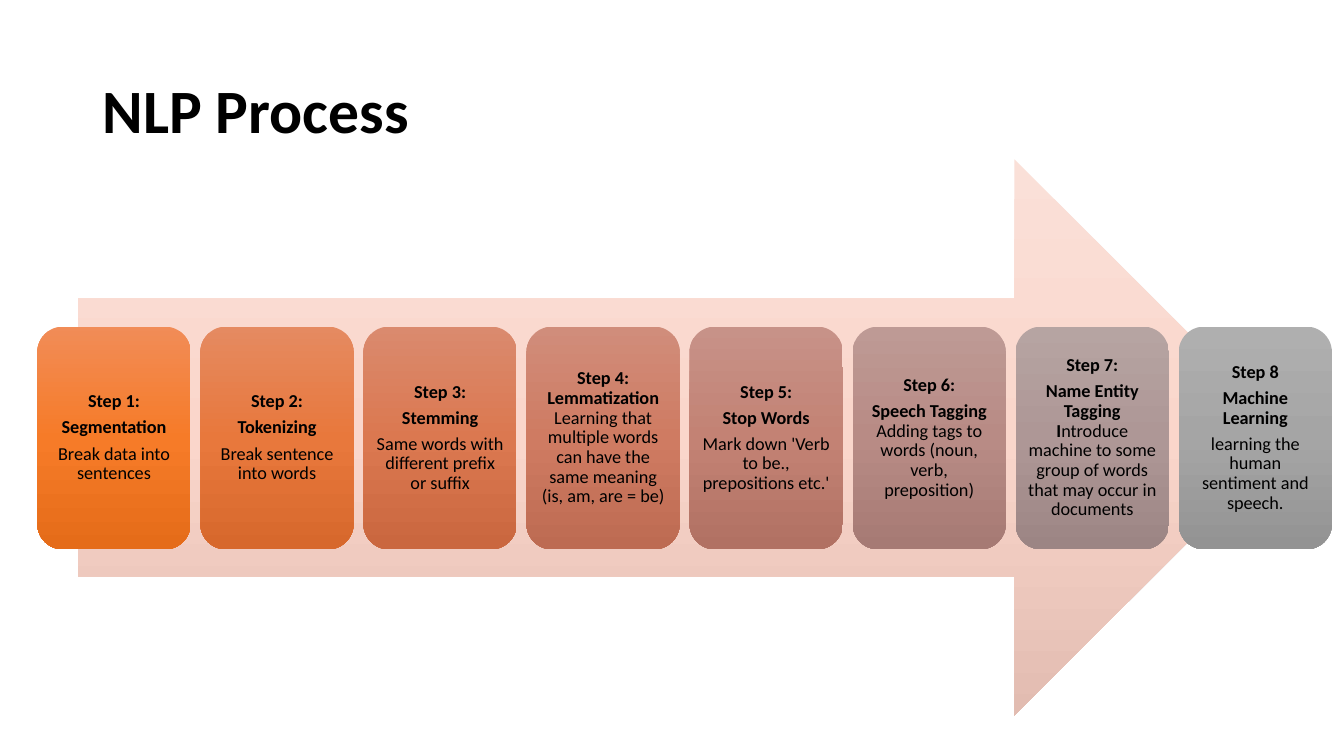
import copy
from dataclasses import dataclass

import pptx
import pptx.dml.color
import pptx.enum.dml
import pptx.enum.shapes
import pptx.enum.text
import pptx.oxml.ns
import pptx.util

Inches = pptx.util.Inches
Pt = pptx.util.Pt
RGBColor = pptx.dml.color.RGBColor
Shape = pptx.enum.shapes.MSO_SHAPE
Align = pptx.enum.text.PP_ALIGN

# Colours: top, middle and bottom of each gradient
BLACK = RGBColor(0x00, 0x00, 0x00)
ARROW_GRADIENT = (RGBColor(0xFA, 0xE0, 0xD8), RGBColor(0xFA, 0xD6, 0xCB), RGBColor(0xE2, 0xBC, 0xB1))
ORANGE = (RGBColor(0xF1, 0x8C, 0x57), RGBColor(0xF6, 0x7B, 0x28), RGBColor(0xE5, 0x6C, 0x19))
RUST = (RGBColor(0xE5, 0x8A, 0x61), RGBColor(0xE8, 0x78, 0x3C), RGBColor(0xD7, 0x68, 0x2C))
TERRACOTTA = (RGBColor(0xDA, 0x8A, 0x6E), RGBColor(0xDB, 0x78, 0x50), RGBColor(0xCA, 0x67, 0x3F))
CLAY = (RGBColor(0xD0, 0x8D, 0x7B), RGBColor(0xCF, 0x7B, 0x62), RGBColor(0xBD, 0x6B, 0x52))
ROSE = (RGBColor(0xC7, 0x92, 0x88), RGBColor(0xC3, 0x82, 0x74), RGBColor(0xB1, 0x71, 0x63))
DUSTY_ROSE = (RGBColor(0xBE, 0x9A, 0x95), RGBColor(0xB8, 0x8B, 0x85), RGBColor(0xA6, 0x7A, 0x74))
MAUVE = (RGBColor(0xB6, 0xA4, 0xA2), RGBColor(0xAE, 0x97, 0x96), RGBColor(0x9C, 0x85, 0x84))
GRAY = (RGBColor(0xAF, 0xAF, 0xAF), RGBColor(0xA5, 0xA5, 0xA5), RGBColor(0x93, 0x93, 0x93))

# Card row geometry, in inches
FIRST_LEFT, LAST_LEFT = 0.37, 11.69
CARD_TOP, CARD_WIDTH, CARD_HEIGHT = 3.24, 1.52, 2.21
LABEL_MARGIN = 0.07


@dataclass(frozen=True)
class Step:
    """Bold headings and a plain detail, which may continue the last heading."""
    headings: tuple[str, ...]
    detail: str
    gradient: tuple[RGBColor, RGBColor, RGBColor]
    inline: bool = False

    def paragraphs(self) -> list[list[tuple[str, bool]]]:
        result = [[(heading, True)] for heading in self.headings]
        if self.inline:
            result[-1].append((self.detail, False))
        else:
            result.append([(self.detail, False)])
        return result


STEPS = (
    Step(("Step 1:", "Segmentation"), "Break data into sentences", ORANGE),
    Step(("Step 2:", "Tokenizing"), "Break sentence into words", RUST),
    Step(("Step 3:", "Stemming"), "Same words with different prefix or suffix", TERRACOTTA),
    Step(("Step 4: Lemmatization ",),
         "Learning that multiple words can have the same meaning (is, am, are = be)",
         CLAY, inline=True),
    Step(("Step 5:", "Stop Words"), "Mark down 'Verb to be., prepositions etc.'", ROSE),
    Step(("Step 6:", "Speech Tagging "), "Adding tags to words (noun, verb, preposition)",
         DUSTY_ROSE, inline=True),
    Step(("Step 7:", "Name Entity Tagging I"),
         "ntroduce machine to some group of words that may occur in documents",
         MAUVE, inline=True),
    Step(("Step 8", "Machine Learning"), "learning the human sentiment and speech.", GRAY),
)


def add_gradient_shape(slide, kind, left: float, top: float, width: float, height: float,
                       gradient: tuple[RGBColor, RGBColor, RGBColor]) -> None:
    shape = slide.shapes.add_shape(kind, Inches(left), Inches(top), Inches(width), Inches(height))
    shape.shadow.inherit = False
    shape.line.fill.background()
    shape.fill.gradient()
    shape.fill.gradient_angle = 270
    # A third stop is needed beside the two default ones
    stop_list = shape._element.spPr.find(".//" + pptx.oxml.ns.qn("a:gsLst"))
    stop_list.append(copy.deepcopy(stop_list[0]))
    for stop, position, color in zip(shape.fill.gradient_stops, (0, 0.5, 1), gradient):
        stop.position = position
        stop.color.rgb = color


def add_text(slide, paragraphs: list[list[tuple[str, bool]]], *, left: float, top: float,
             width: float, height: float, size: float, align=Align.LEFT,
             space_after: float = 0, inset_x: float = 0.1, inset_y: float = 0.05) -> None:
    box = slide.shapes.add_textbox(Inches(left), Inches(top), Inches(width), Inches(height))
    frame = box.text_frame
    frame.word_wrap = True
    frame.vertical_anchor = pptx.enum.text.MSO_ANCHOR.MIDDLE
    frame.margin_left = frame.margin_right = Inches(inset_x)
    frame.margin_top = frame.margin_bottom = Inches(inset_y)
    for index, pieces in enumerate(paragraphs):
        paragraph = frame.add_paragraph() if index else frame.paragraphs[0]
        paragraph.alignment = align
        paragraph.line_spacing = 0.9
        paragraph.space_after = Pt(space_after)
        for text, bold in pieces:
            run = paragraph.add_run()
            run.text = text
            run.font.name = "Calibri"
            run.font.size = Pt(size)
            run.font.bold = bold
            run.font.color.rgb = BLACK


def add_step(slide, step: Step, left: float) -> None:
    add_gradient_shape(slide, Shape.ROUNDED_RECTANGLE, left, CARD_TOP, CARD_WIDTH, CARD_HEIGHT,
                       step.gradient)
    add_text(slide, step.paragraphs(), left=left + LABEL_MARGIN, top=CARD_TOP + LABEL_MARGIN,
             width=CARD_WIDTH - 2 * LABEL_MARGIN, height=CARD_HEIGHT - 2 * LABEL_MARGIN,
             size=13, align=Align.CENTER, space_after=4.55, inset_x=0.05)


def main() -> None:
    presentation = pptx.Presentation()
    presentation.slide_width = Inches(13.33)
    presentation.slide_height = Inches(7.5)
    slide = presentation.slides.add_slide(presentation.slide_layouts[6])

    # Title
    add_text(slide, [[("NLP Process", True)]], left=0.92, top=0.4, width=11.5, height=1.45, size=44)

    # Background arrow
    add_gradient_shape(slide, Shape.RIGHT_ARROW, 0.77, 1.58, 12.05, 5.52, ARROW_GRADIENT)

    # Step cards, evenly spaced
    pitch = (LAST_LEFT - FIRST_LEFT) / (len(STEPS) - 1)
    for index, step in enumerate(STEPS):
        add_step(slide, step, FIRST_LEFT + index * pitch)

    presentation.save("out.pptx")


if __name__ == "__main__":
    main()
